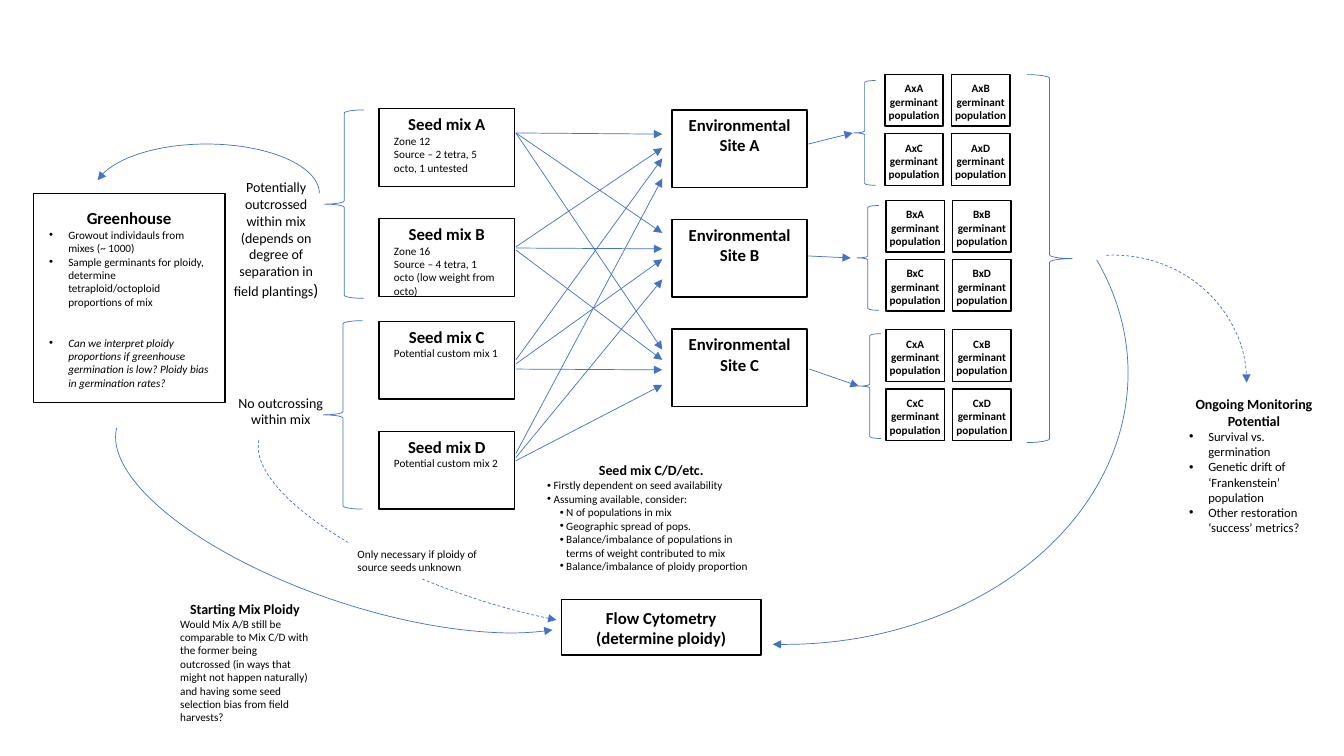
import itertools

import lxml.etree
import pptx
import pptx.dml.color
import pptx.enum.dml
import pptx.enum.shapes
import pptx.enum.text
import pptx.oxml.ns
import pptx.util

Cm = pptx.util.Cm
Pt = pptx.util.Pt
qn = pptx.oxml.ns.qn
Preset = pptx.enum.shapes.MSO_SHAPE
Align = pptx.enum.text.PP_ALIGN
Anchor = pptx.enum.text.MSO_ANCHOR

# Text styles: size, bold, italic, centred, left margin, hanging, level, space before
THEME = {
    "font": "Calibri",
    "ink": pptx.dml.color.RGBColor(0x00, 0x00, 0x00),
    "paper": pptx.dml.color.RGBColor(0xFF, 0xFF, 0xFF),
    "flow": pptx.dml.color.RGBColor(0x44, 0x72, 0xC4),
    "box_line": Pt(1),
    "flow_line": Pt(0.5),
    "text": {
        "box title": (12, True, False, True, 0, 0, 0, 0),
        "note title": (10, True, False, True, 0, 0, 0, 0),
        "population": (8, True, False, True, 0, 0, 0, 0),
        "label": (10, False, False, True, 0, 0, 0, 0),
        "detail": (8, False, False, False, 0, 0, 0, 0),
        "bullet": (8, False, False, False, 0.48, 0.48, 0, 0),
        "question": (8, False, True, False, 0.48, 0.48, 0, 19.5),
        "tight bullet": (8, False, False, False, 0.16, 0.16, 0, 0),
        "sub-bullet": (8, False, False, False, 0.48, 0.16, 1, 0),
        "metric": (9, False, False, False, 0.48, 0.48, 0, 0),
    },
}


def write(holder, paragraphs, side=0.25, top=0.13, anchor=Anchor.TOP):
    """Fill a shape with (style, text) paragraphs in the theme's text styles."""
    frame = holder.text_frame
    frame.word_wrap = True
    frame.auto_size = pptx.enum.text.MSO_AUTO_SIZE.NONE
    frame.vertical_anchor = anchor
    frame.margin_left = frame.margin_right = Cm(side)
    frame.margin_top = frame.margin_bottom = Cm(top)
    for number, (style, text) in enumerate(paragraphs):
        size, bold, italic, centred, margin, hanging, level, before = THEME["text"][style]
        paragraph = frame.add_paragraph() if number else frame.paragraphs[0]
        paragraph.alignment = Align.CENTER if centred else Align.LEFT
        paragraph.level = level
        paragraph.line_spacing = 1.0
        paragraph.space_before = Pt(before)
        paragraph.space_after = Pt(0)
        properties = paragraph._p.get_or_add_pPr()
        properties.set("marL", str(Cm(margin)))
        properties.set("indent", str(-Cm(hanging)))
        if hanging:
            lxml.etree.SubElement(properties, qn("a:buChar")).set("char", "•")
        else:
            lxml.etree.SubElement(properties, qn("a:buNone"))
        run = paragraph.add_run()
        run.text = text
        run.font.name = THEME["font"]
        run.font.size = Pt(size)
        run.font.bold = bold
        run.font.italic = italic
        run.font.color.rgb = THEME["ink"]


def outline(part, color, width, arrow=None, dashed=False):
    """Draw a line round or along a part, without shadow, with an optional arrowhead."""
    part.line.color.rgb = color
    part.line.width = width
    if dashed:
        part.line.dash_style = pptx.enum.dml.MSO_LINE.DASH
    properties = part._element.spPr
    if arrow:
        end = lxml.etree.SubElement(properties.find(qn("a:ln")), qn("a:" + arrow))
        end.set("type", "triangle")
    if properties.find(qn("a:effectLst")) is None:
        lxml.etree.SubElement(properties, qn("a:effectLst"))


deck = pptx.Presentation()
deck.slide_width, deck.slide_height = Cm(33.87), Cm(19.05)
slide = deck.slides.add_slide(deck.slide_layouts[4])
shapes = slide.shapes
title = shapes.title._element
title.getparent().remove(title)

# Notes and lists: place, side and top insets, paragraphs
notes = [
    ((0.84, 4.88, 4.83, 5.26), 0.4, 0.36, [
        ("box title", "Greenhouse"),
        ("bullet", "Growout individauls from mixes (~ 1000)"),
        ("bullet", "Sample germinants for ploidy, determine tetraploid/octoploid "
                   "proportions of mix"),
        ("question", "Can we interpret ploidy proportions if greenhouse germination "
                     "is low? Ploidy bias in germination rates?")]),
    ((4.29, 14.99, 3.76, 3.0), 0.25, 0.13, [
        ("note title", "Starting Mix Ploidy"),
        ("detail", "Would Mix A/B still be comparable to Mix C/D with the former being "
                   "outcrossed (in ways that might not happen naturally) and having "
                   "some seed selection bias from field harvests?")]),
    ((13.54, 11.51, 5.74, 3.0), 0.25, 0.13, [
        ("note title", "Seed mix C/D/etc."),
        ("tight bullet", "Firstly dependent on seed availability"),
        ("tight bullet", "Assuming available, consider:"),
        ("sub-bullet", "N of populations in mix"),
        ("sub-bullet", "Geographic spread of pops."),
        ("sub-bullet", "Balance/imbalance of populations in terms of weight "
                       "contributed to mix"),
        ("sub-bullet", "Balance/imbalance of ploidy proportion")]),
    ((29.72, 9.83, 3.76, 3.81), 0.25, 0.13, [
        ("note title", "Ongoing Monitoring Potential"),
        ("metric", "Survival vs. germination"),
        ("metric", "Genetic drift of ‘Frankenstein’ population"),
        ("metric", "Other restoration ‘success’ metrics?")]),
]
for note, (place, side, top, paragraphs) in zip(list(slide.placeholders), notes):
    note.left, note.top, note.width, note.height = map(Cm, place)
    write(note, paragraphs, side, top)
    if paragraphs[0][1] == "Greenhouse":
        outline(note, THEME["ink"], THEME["box_line"])

# Curved flows: place, rotation, start and end degrees, arrow end, dashed
curves = [
    ((2.62, 10.34, 13.28, 4.93), 198.4, 194.92, 359.37, "headEnd", False),
    ((2.36, 3.63, 5.69, 2.49), 0, 186.88, 0, "headEnd", False),
    ((6.22, 10.87, 12.67, 4.29), 198.4, 222.21, 359.37, "headEnd", True),
    ((11.13, 2.57, 17.3, 13.67), 0, 340.04, 92.56, "tailEnd", False),
    ((24.71, 6.43, 6.71, 6.43), 0, 266.75, 0, "tailEnd", True),
]
for place, rotation, start, end, arrow, dashed in curves:
    curve = shapes.add_shape(Preset.ARC, *map(Cm, place))
    curve.rotation = rotation
    curve.adjustments[0], curve.adjustments[1] = start * 0.6, end * 0.6
    curve.fill.background()
    outline(curve, THEME["flow"], THEME["flow_line"], arrow, dashed)

# Braces: place, rotation
braces = [
    ((8.18, 2.77, 0.99, 4.75), 0),
    ((8.15, 8.08, 0.99, 4.75), 0),
    ((21.51, 2.03, 0.56, 2.64), 0),
    ((21.59, 5.18, 0.56, 2.64), 0),
    ((21.64, 8.41, 0.56, 2.64), 0),
    ((25.88, 1.88, 1.14, 9.27), 180),
]
for place, rotation in braces:
    brace = shapes.add_shape(Preset.LEFT_BRACE, *map(Cm, place))
    brace.rotation = rotation
    brace.fill.background()
    outline(brace, THEME["flow"], THEME["flow_line"])

# Boxes: place, side and top insets, anchor, paragraphs
mixes = [
    ("A", 2.74, ["Zone 12", "Source – 2 tetra, 5 octo, 1 untested"]),
    ("B", 5.51, ["Zone 16", "Source – 4 tetra, 1 octo (low weight from octo)"]),
    ("C", 8.1, ["Potential custom mix 1"]),
    ("D", 10.87, ["Potential custom mix 2"]),
]
boxes = [((9.55, top, 3.42, 1.96), 0.38, 0.13, Anchor.TOP,
          [("box title", "Seed mix " + mix)] + [("detail", line) for line in details])
         for mix, top, details in mixes]
boxes += [((16.94, 2.77 + 2.76 * row, 3.4, 1.96), 0.38, 0.13, Anchor.TOP,
           [("box title", "Environmental Site " + site)])
          for row, site in enumerate("ABC")]
boxes.append(((14.15, 15.11, 5.03, 1.4), 0.38, 0.05, Anchor.MIDDLE,
              [("box title", "Flow Cytometry"), ("box title", "(determine ploidy)")]))
corners = {"A": (22.3, 1.88), "B": (22.33, 5.05), "C": (22.33, 8.31)}
for site, (number, mix) in itertools.product("ABC", enumerate("ABCD")):
    row, column = divmod(number, 2)
    left, top = corners[site]
    boxes.append(((left + 1.68 * column, top + 1.49 * row, 1.47, 1.3), 0, 0.18, Anchor.TOP,
                  [("population", site + "x" + mix),
                   ("population", "germinant population")]))
for place, side, top, anchor, paragraphs in boxes:
    box = shapes.add_shape(Preset.RECTANGLE, *map(Cm, place))
    box.fill.background()
    outline(box, THEME["ink"], THEME["box_line"])
    write(box, paragraphs, side, top, anchor)

# Every mix goes to every site: heights where arrows leave and arrive, site by site
departures = [(3.35, 3.35, 3.35), (6.22, 6.25, 6.3), (9.07, 9.17, 9.3), (11.43, 11.53, 11.61)]
arrivals = [(3.38, 5.87, 8.81), (3.73, 6.27, 9.07), (3.99, 6.53, 9.32), (4.5, 7.04, 9.7)]
arrows = [(13.0, departures[mix][site], 16.69, arrivals[mix][site])
          for mix, site in itertools.product(range(4), range(3))]
arrows += [(20.37, 3.63, 21.49, 3.35), (20.37, 6.45, 21.44, 6.5), (20.4, 9.3, 21.64, 9.73)]
for ends in arrows:
    arrow = shapes.add_connector(pptx.enum.shapes.MSO_CONNECTOR.STRAIGHT, *map(Cm, ends))
    outline(arrow, THEME["flow"], THEME["flow_line"], "tailEnd")

# Labels beside the braces and on the dashed flow
outcrossed = shapes.add_textbox(Cm(5.59), Cm(4.37), Cm(2.74), Cm(3.25))
write(outcrossed, [("label", "Potentially outcrossed within mix (depends on degree of "
                             "separation in field plantings")])
bracket = outcrossed.text_frame.paragraphs[0].add_run()
bracket.text = ")"
bracket.font.name = THEME["font"]
bracket.font.size = Pt(THEME["text"]["box title"][0])
bracket.font.color.rgb = THEME["ink"]

not_outcrossed = shapes.add_textbox(Cm(5.64), Cm(9.8), Cm(2.87), Cm(1.09))
write(not_outcrossed, [("label", "No outcrossing within mix")])

condition = shapes.add_shape(Preset.RECTANGLE, Cm(8.76), Cm(13.67), Cm(3.66), Cm(0.91))
condition.shadow.inherit = False
condition.fill.solid()
condition.fill.fore_color.rgb = THEME["paper"]
condition.line.fill.background()
write(condition, [("detail", "Only necessary if ploidy of source seeds unknown")],
      anchor=Anchor.MIDDLE)

deck.save("out.pptx")
